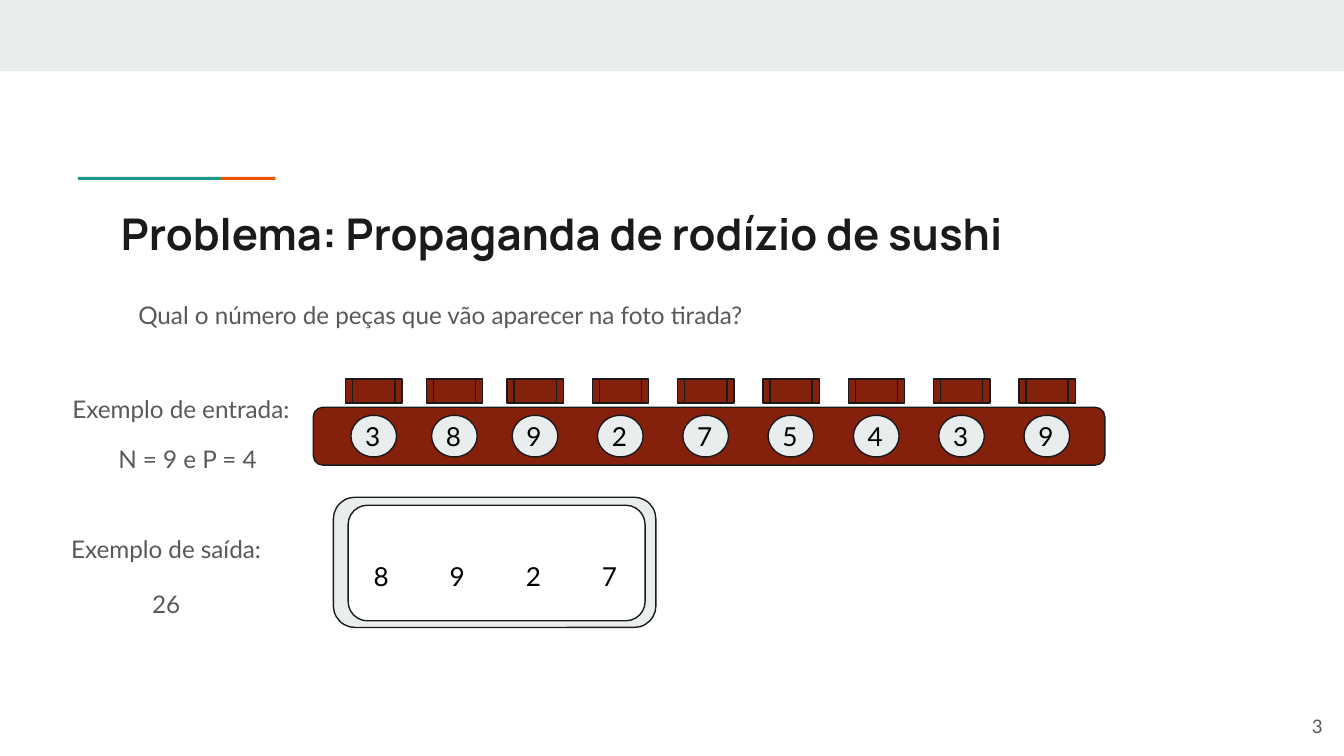
"""Build the sushi conveyor problem slide."""
from pptx import Presentation
from pptx.dml.color import RGBColor
from pptx.enum.shapes import MSO_SHAPE
from pptx.enum.text import MSO_ANCHOR, MSO_AUTO_SIZE, PP_ALIGN
from pptx.util import Pt

RECT = MSO_SHAPE.RECTANGLE
ROUNDED = MSO_SHAPE.ROUNDED_RECTANGLE
PLATE = MSO_SHAPE.FLOWCHART_CONNECTOR
SEAT = MSO_SHAPE.FLOWCHART_PREDEFINED_PROCESS
TOP, MIDDLE = MSO_ANCHOR.TOP, MSO_ANCHOR.MIDDLE
NO_FIT = MSO_AUTO_SIZE.NONE
LEFT, CENTER, RIGHT = PP_ALIGN.LEFT, PP_ALIGN.CENTER, PP_ALIGN.RIGHT
JUSTIFY = PP_ALIGN.JUSTIFY

INK = RGBColor(0x1A, 0x1A, 0x1A)
GRAY = RGBColor(0x59, 0x59, 0x59)
BLACK = RGBColor(0x00, 0x00, 0x00)
WHITE = RGBColor(0xFF, 0xFF, 0xFF)
MIST = RGBColor(0xE9, 0xED, 0xEE)
TEAL = RGBColor(0x1A, 0x99, 0x88)
ORANGE = RGBColor(0xEB, 0x56, 0x00)
BROWN = RGBColor(0x85, 0x20, 0x0C)

PIECES = "389275439"
PHOTO = "8927"


def add_text(tf, text, font="Lato", size=13, color=GRAY, bold=False, align=LEFT,
             spacing=1.0, before=0, after=0, indent=0, new=False):
    """Write one formatted paragraph into a text frame."""
    p = tf.add_paragraph() if new else tf.paragraphs[0]
    p.alignment, p.line_spacing = align, spacing
    p.space_before, p.space_after = Pt(before), Pt(after)
    if indent:
        pPr = p._p.get_or_add_pPr()
        pPr.set("marL", "0")
        pPr.set("indent", str(Pt(indent)))
    r = p.add_run()
    r.text = text
    r.font.name, r.font.size, r.font.bold = font, Pt(size), bold
    r.font.color.rgb = color


class Deck:
    """Hold the slide and the shared style of its elements."""

    inset = 7.2
    line_width = 0.75

    def __init__(self, prs):
        """Add a slide with a title placeholder."""
        self.slide = prs.slides.add_slide(prs.slide_layouts[5])

    def frame(self, sp, anchor=TOP):
        """Apply the shared insets and wrapping to a text frame."""
        tf = sp.text_frame
        tf.word_wrap, tf.auto_size, tf.vertical_anchor = True, NO_FIT, anchor
        tf.margin_left = tf.margin_right = Pt(self.inset)
        tf.margin_top = tf.margin_bottom = Pt(self.inset)
        return tf

    def title(self, text, x, y, w, h):
        """Place and fill the title placeholder."""
        sp = self.slide.shapes.title
        sp.left, sp.top, sp.width, sp.height = Pt(x), Pt(y), Pt(w), Pt(h)
        add_text(self.frame(sp), text, font="Manrope", size=23.4, color=INK, bold=True)

    def shape(self, kind, x, y, w, h, fill, outlined=True):
        """Draw a filled preset shape."""
        sp = self.slide.shapes.add_shape(kind, Pt(x), Pt(y), Pt(w), Pt(h))
        sp.shadow.inherit = False
        sp.fill.solid()
        sp.fill.fore_color.rgb = fill
        if outlined:
            sp.line.color.rgb = INK
            sp.line.width = Pt(self.line_width)
        else:
            sp.line.fill.background()

    def text(self, text, x, y, w, h, anchor=TOP, **style):
        """Add a text box and return its frame."""
        sp = self.slide.shapes.add_textbox(Pt(x), Pt(y), Pt(w), Pt(h))
        tf = self.frame(sp, anchor)
        add_text(tf, text, **style)
        return tf

    def example(self, label, value, x, y, w, h, spacing):
        """Add a label with its value centred below."""
        tf = self.text(label, x, y, w, h, align=JUSTIFY, spacing=spacing)
        add_text(tf, value, align=CENTER, spacing=spacing, before=12, after=12, new=True)


def main():
    """Build and save the slide."""
    prs = Presentation()
    prs.slide_width, prs.slide_height = Pt(720), Pt(405)
    deck = Deck(prs)

    deck.shape(RECT, 0, 0, 720, 38.2, MIST, outlined=False)
    deck.shape(RECT, 41.8, 94.8, 76.6, 1.6, TEAL, outlined=False)
    deck.shape(RECT, 118.4, 94.8, 29.2, 1.6, ORANGE, outlined=False)
    deck.title("Problema: Propaganda de rodízio de sushi", 57.6, 103.7, 605.5, 42.5)
    deck.text("3", 672.5, 373.7, 43.2, 31, anchor=MIDDLE, size=10, align=RIGHT)
    deck.text("Qual o número de peças que vão aparecer na foto tirada?",
              31, 151.2, 605.5, 46.8, align=JUSTIFY, spacing=1.15, after=12, indent=36)

    deck.shape(ROUNDED, 167.8, 218.2, 424.1, 31, BROWN)
    for i, piece in enumerate(PIECES):
        x = 188 + 43.2 * min(i, 2) + 45.7 * max(i - 2, 0)
        deck.shape(PLATE, x, 222.5, 24.5, 22.3, MIST)
        deck.shape(SEAT, x - 2.8, 203, 30.2, 13, BROWN)
        deck.text(piece, x + 0.6, 218.2, 24.5, 31.7, size=14, color=BLACK)

    deck.shape(ROUNDED, 178.6, 266.4, 172.8, 69.8, MIST)
    deck.shape(ROUNDED, 186.5, 270.7, 159.1, 61.9, WHITE)
    for i, piece in enumerate(PHOTO):
        deck.text(piece, 193 + 40.8 * i, 293, 22.6, 31.7, size=14, color=BLACK)

    deck.example("Exemplo de entrada:", "N = 9 e P = 4", 31.7, 205.2, 137.5, 58.3, 0.95)
    deck.example("Exemplo de saída:", "26", 31, 276.5, 115.9, 61.9, 1.15)

    prs.save("out.pptx")


if __name__ == "__main__":
    main()
